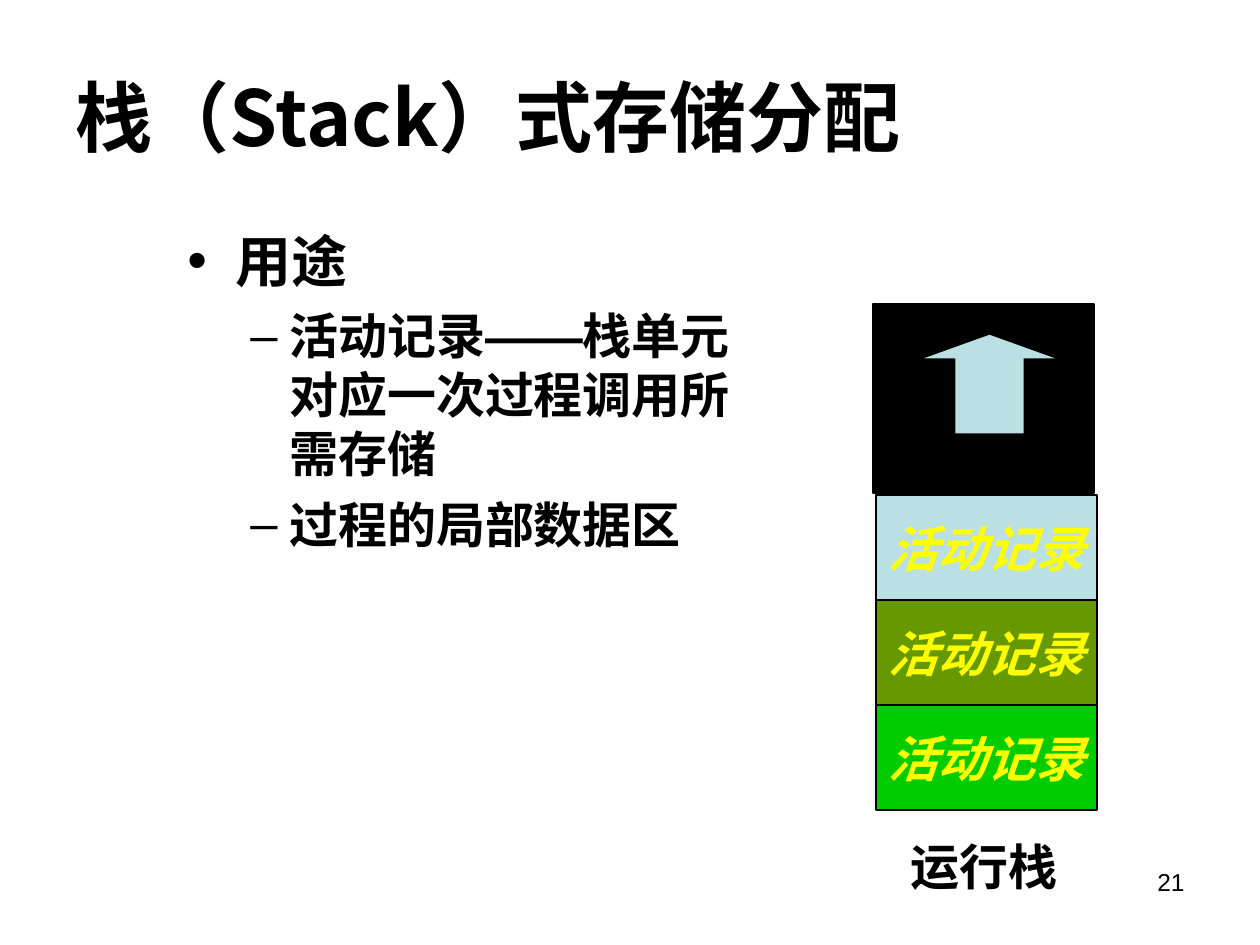
"""Build the slide on stack storage allocation."""
from lxml import etree
from pptx import Presentation
from pptx.dml.color import RGBColor
from pptx.enum.shapes import MSO_SHAPE
from pptx.enum.text import MSO_ANCHOR, PP_ALIGN
from pptx.oxml.ns import qn
from pptx.util import Pt

BLACK = RGBColor(0, 0, 0)
YELLOW = RGBColor(255, 255, 0)
PALE = RGBColor(0xBB, 0xE0, 0xE3)
OLIVE = RGBColor(0x66, 0x99, 0)
GREEN = RGBColor(0, 0xCC, 0)
RECT, ARROW = MSO_SHAPE.RECTANGLE, MSO_SHAPE.UP_ARROW
TOP, MIDDLE = MSO_ANCHOR.TOP, MSO_ANCHOR.MIDDLE
LEFT, CENTER, RIGHT, JUSTIFY = PP_ALIGN.LEFT, PP_ALIGN.CENTER, PP_ALIGN.RIGHT, PP_ALIGN.JUSTIFY
SANS, SERIF, ARIAL = "Noto Sans CJK JP", "Times New Roman", "Arial"
SCALE = 914400 / 126


def emu(px):
    """Turn pixels into EMU."""
    return round(px * SCALE)


class Deck:
    """Hold the style and the current slide."""

    base = {"name": SANS, "size": Pt(28), "bold": True, "italic": False}

    def __init__(self, wide, high):
        """Start a deck with one title-only slide."""
        self.prs = Presentation()
        self.prs.slide_width, self.prs.slide_height = emu(wide), emu(high)
        self.slide = self.prs.slides.add_slide(self.prs.slide_layouts[5])

    def run(self, para, text, east=SANS, color=BLACK, **style):
        """Add a run in the base style with changes."""
        run = para.add_run()
        run.text = text
        for key, value in {**self.base, **style}.items():
            setattr(run.font, key, value)
        run.font.color.rgb = color
        face = etree.Element(qn("a:ea"), typeface=east)
        run.font._element.find(qn("a:latin")).addnext(face)

    def frame(self, shape, align=LEFT, anchor=TOP, wrap=True):
        """Set up a text frame and return its first paragraph."""
        frame = shape.text_frame
        frame.word_wrap, frame.vertical_anchor = wrap, anchor
        frame.paragraphs[0].alignment = align
        return frame.paragraphs[0]

    def title(self, box, text):
        """Place and fill the title."""
        shape = self.slide.shapes.title
        shape.left, shape.top, shape.width, shape.height = map(emu, box)
        self.run(self.frame(shape, JUSTIFY, MIDDLE), text, size=Pt(44))

    def text(self, box, text, align=LEFT, **style):
        """Add a text box of one line."""
        shape = self.slide.shapes.add_textbox(*map(emu, box))
        self.run(self.frame(shape, align), text, **style)

    def list(self, box, items):
        """Add a bullet list of (level, runs) items."""
        shape = self.slide.shapes.add_textbox(*map(emu, box))
        para = self.frame(shape)
        for index, (level, runs) in enumerate(items):
            if index:
                para = shape.text_frame.add_paragraph()
                para.space_before = Pt(7)
            mark, left, hang = (("•", 48, 48), ("–", 102, 39))[level]
            para.level = level
            props = para._p.get_or_add_pPr()
            props.set("marL", str(emu(left)))
            props.set("indent", str(-emu(hang)))
            etree.SubElement(props, qn("a:buFont"), typeface=ARIAL)
            etree.SubElement(props, qn("a:buChar"), char=mark)
            for text, style in runs:
                self.run(para, text, **style)

    def shape(self, kind, box, fill):
        """Add a filled shape with a thin black line."""
        shape = self.slide.shapes.add_shape(kind, *map(emu, box))
        shape.shadow.inherit = False
        shape.fill.solid()
        shape.fill.fore_color.rgb = fill
        shape.line.color.rgb, shape.line.width = BLACK, Pt(0.75)
        return shape

    def cell(self, box, fill, text):
        """Add a labelled cell of the stack."""
        para = self.frame(self.shape(RECT, box, fill), CENTER, MIDDLE, False)
        self.run(para, text, color=YELLOW, name=SERIF, italic=True)


def main():
    """Draw the slide and save it."""
    deck = Deck(1260, 945)
    deck.text((903, 861, 294, 66), "21", RIGHT, name=ARIAL, size=Pt(14), bold=False)
    deck.title((63, 54, 1131, 123), "栈（Stack）式存储分配")
    dash = {"name": ARIAL, "east": ARIAL}
    deck.list((175, 220, 577, 624), [
        (0, [("用途", {"size": Pt(32)})]),
        (1, [("活动记录", {}), ("——", dash), ("栈单元对应一次过程调用所需存储", {})]),
        (1, [("过程的局部数据区", {})]),
    ])
    for row, fill in enumerate((PALE, OLIVE, GREEN)):
        deck.cell((876, 495 + 105 * row, 221, 105), fill, "活动记录")
    deck.text((898, 830, 180, 72), "运行栈", name=SERIF)
    deck.shape(RECT, (873, 304, 221, 189), BLACK)
    arrow = deck.shape(ARROW, (920, 334, 139, 100), PALE)
    arrow.adjustments[0], arrow.adjustments[1] = 0.5, 0.25
    deck.prs.save("out.pptx")


if __name__ == "__main__":
    main()
